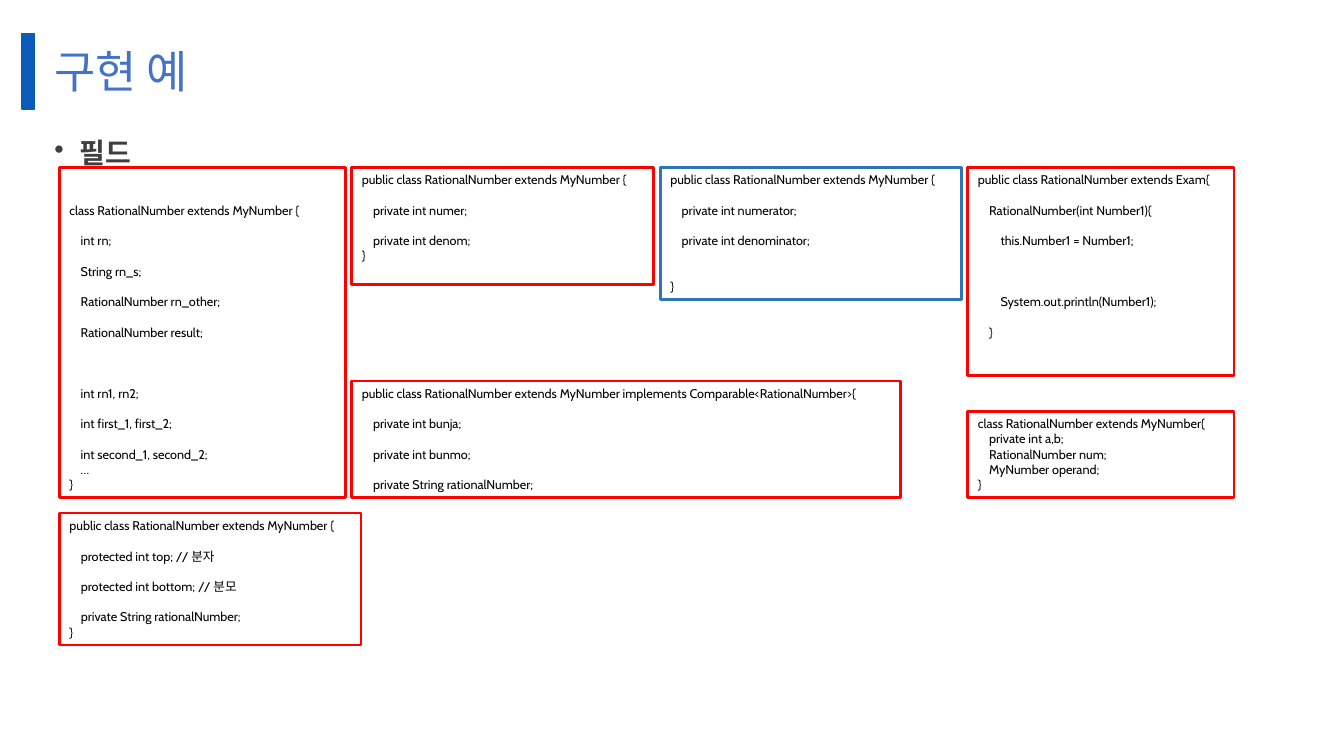
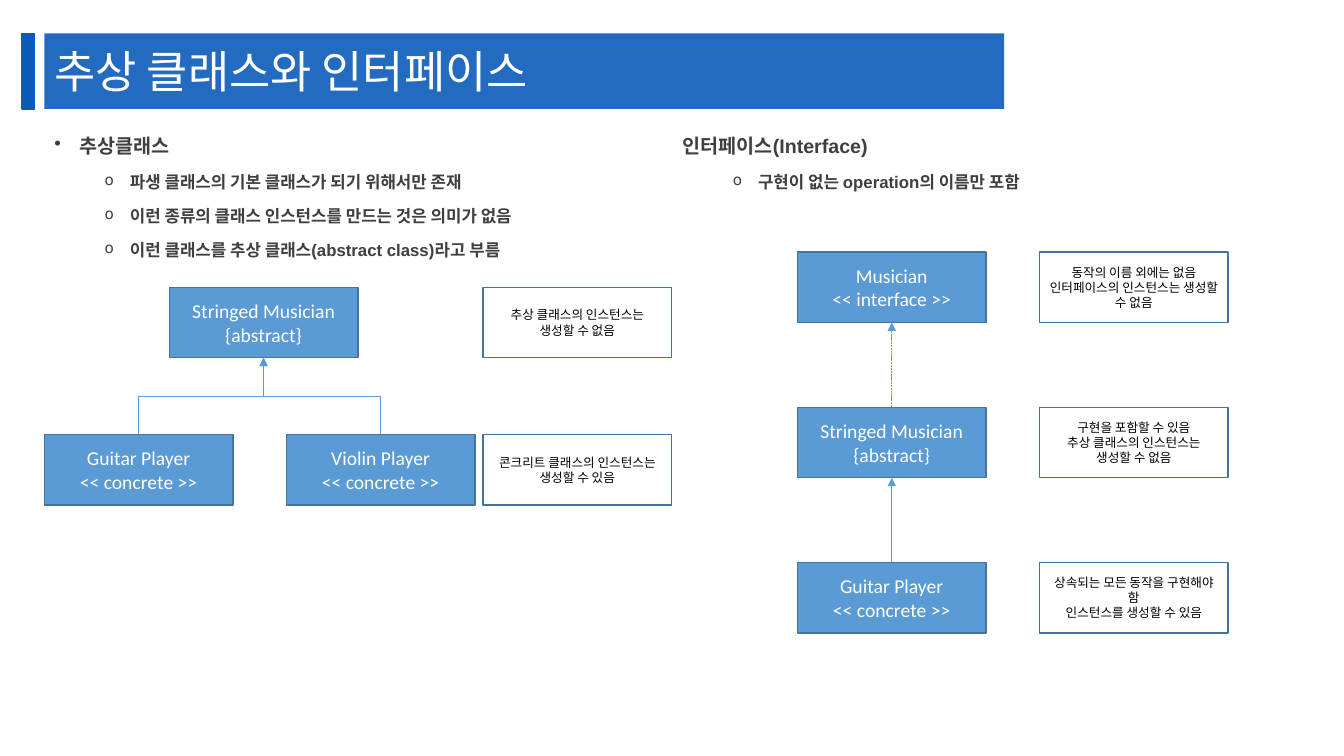
from lxml import etree
from pptx import Presentation
from pptx.dml.color import RGBColor
from pptx.enum.dml import MSO_LINE
from pptx.enum.shapes import MSO_CONNECTOR, MSO_SHAPE
from pptx.enum.text import MSO_ANCHOR, PP_ALIGN
from pptx.oxml.ns import qn
from pptx.util import Inches, Pt

RECT = MSO_SHAPE.RECTANGLE
STRAIGHT, ELBOW = MSO_CONNECTOR.STRAIGHT, MSO_CONNECTOR.ELBOW
DASH = MSO_LINE.SQUARE_DOT
TOP, MIDDLE = MSO_ANCHOR.TOP, MSO_ANCHOR.MIDDLE
LEFT, CENTER = PP_ALIGN.LEFT, PP_ALIGN.CENTER

COLORS = {"band": "0A5BBA", "title": "4472C4", "white": "FFFFFF",
          "body": "3F3F3F", "black": "000000", "red": "FF0000",
          "blue": "2E75B6", "node": "5B9BD5", "edge": "43739E"}

# Text formats: run font values and colour
FORMATS = {
    "title": ({"name": "Roboto", "size": Pt(32)}, "title"),
    "banner": ({"name": "Arial", "size": Pt(32)}, "white"),
    "field": ({"name": "Cabin", "size": Pt(20), "bold": True}, "body"),
    "head": ({"name": "Arial", "size": Pt(14), "bold": True}, "body"),
    "item": ({"name": "Arial", "size": Pt(12), "bold": True}, "body"),
    "code": ({"name": "Cabin", "size": Pt(9)}, "black"),
    "node": ({"name": "Calibri", "size": Pt(14)}, "white"),
    "note": ({"name": "Calibri", "size": Pt(9)}, "black"),
}

CODE_LINE = 10.9          # points per line of code
NODE_W, NODE_H = 1.87, 0.7


class Deck:
    def __init__(self):
        self.prs = Presentation()
        self.prs.slide_width = Inches(13.33)
        self.prs.slide_height = Inches(7.5)
        self.slide = None

    def start(self, title, style, band=None):
        """Add a slide with its side bar and title."""
        self.slide = self.prs.slides.add_slide(self.prs.slide_layouts[6])
        self.rect(0.22, 0.33, 0.12, 0.75, "band", "band")
        box = self.rect(0.44, 0.33, 9.52, 0.75, band)
        if band:
            color = box._element.spPr.find(".//" + qn("a:srgbClr"))
            etree.SubElement(color, qn("a:alpha")).set("val", "90000")
        frame = self.frame(box, TOP)
        frame.margin_top = Inches(0.1)
        self.put(frame.paragraphs[0], title, style)

    def rect(self, x, y, w, h, fill=None, line=None, width=1):
        box = self.slide.shapes.add_shape(
            RECT, Inches(x), Inches(y), Inches(w), Inches(h))
        box.shadow.inherit = False
        for part, color in ((box.fill, fill), (box.line.fill, line)):
            if color:
                part.solid()
                part.fore_color.rgb = RGBColor.from_string(COLORS[color])
            else:
                part.background()
        if line:
            box.line.width = Pt(width)
        return box

    def frame(self, box, anchor):
        frame = box.text_frame
        frame.word_wrap = True
        frame.vertical_anchor = anchor
        return frame

    def put(self, para, text, style, align=LEFT):
        para.alignment = align
        run = para.add_run()
        run.text = text
        values, color = FORMATS[style]
        for key, value in values.items():
            setattr(run.font, key, value)
        run.font.color.rgb = RGBColor.from_string(COLORS[color])

    def paras(self, frame, texts):
        """Pair each text with a paragraph of the frame."""
        for i, text in enumerate(texts):
            yield (frame.add_paragraph() if i else frame.paragraphs[0]), text

    def bullet(self, para, mark, left, size):
        props = para._p.get_or_add_pPr()
        props.set("marL", str(Inches(left)))
        props.set("indent", str(Inches(-0.25)))
        etree.SubElement(props, qn("a:buSzPct")).set("val", str(size * 1000))
        etree.SubElement(props, qn("a:buChar")).set("char", mark)

    def body(self, x, w, head, items=(), style="head", mark=True):
        """Heading with an indented list below it."""
        box = self.slide.shapes.add_textbox(
            Inches(x), Inches(1.25), Inches(w), Inches(5.92))
        frame = self.frame(box, TOP)
        for para, text in self.paras(frame, [head, *items]):
            first = text == head
            if not first:
                self.bullet(para, "o", 0.75, 90)
                para.space_before = Pt(5)
            elif mark:
                self.bullet(para, "•", 0.25, 100)
            para.line_spacing = 1.14
            para.space_after = Pt(3)
            self.put(para, text, style if first else "item")

    def listing(self, x, y, w, h, source, line="red"):
        """Framed code; empty source lines become spacing."""
        frame = self.frame(self.rect(x, y, w, h, None, line, 2), TOP)
        rows, gaps, gap = [], [], 0
        for row in source.split("\n"):
            if row:
                rows.append(row)
                gaps.append(gap)
                gap = 0
            else:
                gap += CODE_LINE
        frame.margin_top = Inches(0.05) + Pt(gaps[0])
        for (para, row), space in zip(self.paras(frame, rows), [0] + gaps[1:]):
            para.space_before = Pt(space)
            self.put(para, row, "code")

    def label(self, x, y, style, *rows):
        """Class node or the note beside it."""
        fill = "node" if style == "node" else None
        box = self.rect(x, y, NODE_W, NODE_H, fill, "edge")
        for para, row in self.paras(self.frame(box, MIDDLE), rows):
            self.put(para, row, style, CENTER)

    def arrow(self, x1, y1, x2, y2, dash=None):
        """Arrow upwards, with an elbow when the ends are not aligned."""
        bent = x1 != x2
        turn = 1 if x1 < x2 else -1
        if bent:   # the elbow is laid out sideways, then turned
            cx, cy = (x1 + x2) / 2, (y1 + y2) / 2
            dx, dy = turn * (y1 - cy), turn * (cx - x1)
            x1, y1, x2, y2 = cx + dx, cy + dy, cx - dx, cy - dy
        link = self.slide.shapes.add_connector(
            ELBOW if bent else STRAIGHT,
            Inches(x1), Inches(y1), Inches(x2), Inches(y2))
        props = link._element.spPr
        if bent:
            angle = 90 if turn > 0 else 270
            props.find(qn("a:xfrm")).set("rot", str(angle * 60000))
        link.line.color.rgb = RGBColor.from_string(COLORS["node"])
        link.line.width = Pt(0.5)
        if dash:
            link.line.dash_style = dash
        tail = etree.SubElement(props.find(qn("a:ln")), qn("a:tailEnd"))
        tail.set("type", "triangle")
        etree.SubElement(props, qn("a:effectLst"))


FIELDS = """

class RationalNumber extends MyNumber {

    int rn;

    String rn_s;

    RationalNumber rn_other;

    RationalNumber result;



    int rn1, rn2;

    int first_1, first_2;

    int second_1, second_2;
    …
}"""

SHORT = """public class RationalNumber extends MyNumber {

    private int numer;

    private int denom;
}"""

FULL = """public class RationalNumber extends MyNumber {

    private int numerator;

    private int denominator;


}"""

COMPARE = """public class RationalNumber extends MyNumber implements Comparable<RationalNumber>{

    private int bunja;

    private int bunmo;

    private String rationalNumber;"""

EXAM = """public class RationalNumber extends Exam{

    RationalNumber(int Number1){

        this.Number1 = Number1;



        System.out.println(Number1);

    }"""

PAIR = """class RationalNumber extends MyNumber{
    private int a,b;
    RationalNumber num;
    MyNumber operand;
}"""

PARTS = """public class RationalNumber extends MyNumber {

    protected int top; // 분자

    protected int bottom; // 분모

    private String rationalNumber;
}"""


def fields(deck):
    deck.start("구현 예", "title")
    deck.body(0.44, 12.45, "필드", style="field")
    top = 1.66
    deck.listing(0.59, top, 2.84, 3.28, FIELDS)
    deck.listing(3.49, top, 2.99, 1.16, SHORT)
    deck.listing(6.55, top, 2.99, 1.31, FULL, "blue")
    deck.listing(3.49, 3.78, 5.44, 1.16, COMPARE)
    deck.listing(9.6, top, 2.64, 2.07, EXAM)
    deck.listing(9.6, 4.08, 2.64, 0.86, PAIR)
    deck.listing(0.59, 5.09, 2.99, 1.31, PARTS)


def classes(deck):
    deck.start("추상 클래스와 인터페이스", "banner", "band")
    string = ("Stringed Musician", "{abstract}")
    guitar = ("Guitar Player", "<< concrete >>")
    violin = ("Violin Player", "<< concrete >>")

    # Abstract class: parent over two children
    deck.body(0.44, 6.23, "추상클래스", [
        "파생 클래스의 기본 클래스가 되기 위해서만 존재",
        "이런 종류의 클래스 인스턴스를 만드는 것은 의미가 없음",
        "이런 클래스를 추상 클래스(abstract class)라고 부름"])
    high, low, root = 2.85, 4.31, 1.68
    deck.label(root, high, "node", *string)
    for x, rows in ((2.84, violin), (0.44, guitar)):
        deck.label(x, low, "node", *rows)
        deck.arrow(x + NODE_W / 2, low, root + NODE_W / 2, high + NODE_H)
    deck.label(4.79, high, "note", "추상 클래스의 인스턴스는 생성할 수 없음")
    deck.label(4.79, low, "note", "콘크리트 클래스의 인스턴스는 생성할 수 있음")

    # Interface: a chain of three, each with a note
    deck.body(6.67, 6.23, "인터페이스(Interface)",
              ["구현이 없는 operation의 이름만 포함"], mark=False)
    chain = [
        (("Musician", "<< interface >>"),
         ("동작의 이름 외에는 없음", "인터페이스의 인스턴스는 생성할 수 없음")),
        (string,
         ("구현을 포함할 수 있음", "추상 클래스의 인스턴스는 생성할 수 없음")),
        (guitar,
         ("상속되는 모든 동작을 구현해야 함", "인스턴스를 생성할 수 있음"))]
    left, step = 7.91, 1.54
    mid = left + NODE_W / 2
    for i, (rows, note) in enumerate(chain):
        y = 2.5 + i * step
        deck.label(left, y, "node", *rows)
        deck.label(10.31, y, "note", *note)
        if i:
            deck.arrow(mid, y, mid, y - step + NODE_H, DASH if i == 1 else None)


def main():
    deck = Deck()
    fields(deck)
    classes(deck)
    deck.prs.save("out.pptx")


if __name__ == "__main__":
    main()
